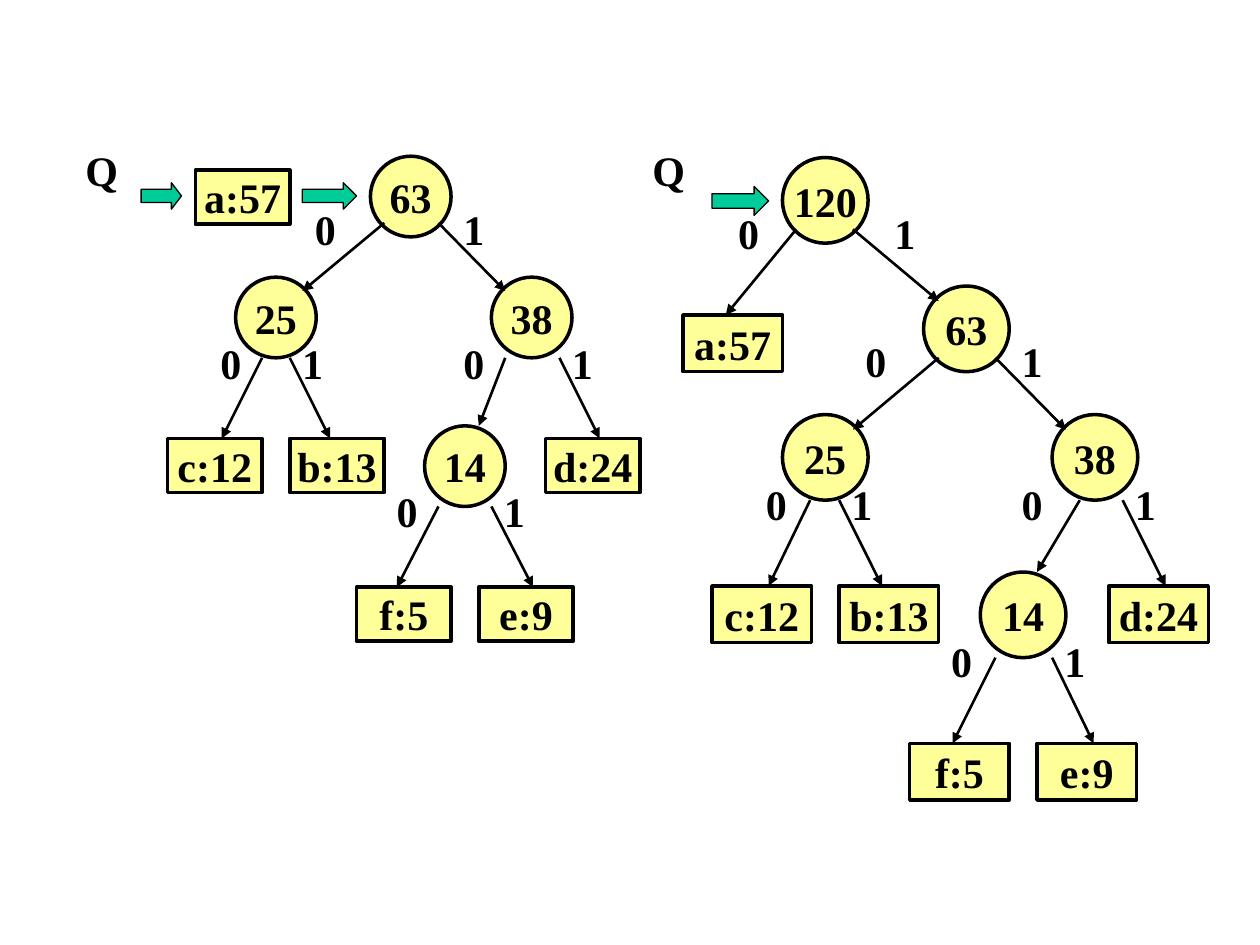
from lxml import etree
from pptx import Presentation
from pptx.dml.color import RGBColor
from pptx.enum.shapes import MSO_CONNECTOR as Connector, MSO_SHAPE as Shape
from pptx.enum.text import MSO_ANCHOR as Anchor, PP_ALIGN as Align
from pptx.oxml.ns import qn
from pptx.util import Inches, Pt


def colour(hex_code):
    return RGBColor.from_string(hex_code)


class TreeSlide:
    FONT, SIZE = "Times New Roman", 24
    INK, NODE, POINTER = "000000", "FFFF99", "00CC99"

    def __init__(self, prs):
        self.slide = prs.slides.add_slide(prs.slide_layouts[6])
        self.shapes = self.slide.shapes

    def start_group(self):
        self.shapes = self.slide.shapes.add_group_shape().shapes

    def set_text(self, shape, text, align):
        frame = shape.text_frame
        frame.text = text
        frame.word_wrap = False
        frame.vertical_anchor = Anchor.MIDDLE
        paragraph = frame.paragraphs[0]
        paragraph.alignment = align
        font = paragraph.runs[0].font
        font.name, font.size, font.bold = self.FONT, Pt(self.SIZE), True
        font.color.rgb = colour(self.INK)

    def outline(self, kind, box, fill, weight):
        shape = self.shapes.add_shape(kind, *map(Inches, box))
        shape.shadow.inherit = False
        shape.fill.solid()
        shape.fill.fore_color.rgb = colour(fill)
        shape.line.color.rgb = colour(self.INK)
        shape.line.width = Pt(weight)
        return shape

    def node(self, kind, text, left, top, size):
        shape = self.outline(kind, (left, top, *size), self.NODE, 2)
        self.set_text(shape, text, Align.CENTER)

    def label(self, text, left, top, width=0.4, height=0.57):
        box = self.shapes.add_textbox(*map(Inches, (left, top, width, height)))
        self.set_text(box, text, Align.LEFT)

    def edge(self, start, end):
        edge = self.shapes.add_connector(
            Connector.STRAIGHT, *map(Inches, (*start, *end)))
        edge.line.color.rgb = colour(self.INK)
        edge.line.width = Pt(1.5)
        properties = edge._element.spPr
        etree.SubElement(properties.find(qn("a:ln")), qn("a:tailEnd"), type="triangle")
        etree.SubElement(properties, qn("a:effectLst"))

    def pointer(self, box, head):
        arrow = self.outline(Shape.RIGHT_ARROW, box, self.POINTER, 0.75)
        arrow.adjustments[1] = head

    def tree(self, queue, diameter, leaf_size, inner, leaves, branches, pointers):
        self.start_group()
        for text, left, top in inner:
            self.node(Shape.OVAL, text, left, top, (diameter, diameter))
        for text, left, top in leaves:
            self.node(Shape.RECTANGLE, text, left, top, leaf_size)
        # Each pair of branches carries the code digits 0 and 1
        for start_y, label_y, *pair in branches:
            for digit, (label_x, start_x, end) in zip("01", pair):
                self.edge((start_x, start_y), end)
                self.label(digit, label_x, label_y)
        self.label("Q", *queue, 0.5, 0.7)
        for box, head in pointers:
            self.pointer(box, head)


# Places are (left, top); a branch row is
# start y, digit y, then (digit x, start x, end) for 0 and for 1
BEFORE_MERGE = dict(
    queue=(0.58, 1), diameter=0.64, leaf_size=(0.75, 0.43),
    inner=[("63", 2.94, 1.24), ("25", 1.87, 2.2), ("38", 3.9, 2.2),
           ("14", 3.37, 3.38)],
    leaves=[("a:57", 1.55, 1.35), ("c:12", 1.33, 3.48), ("b:13", 2.3, 3.48),
            ("d:24", 4.33, 3.48), ("f:5", 2.83, 4.66), ("e:9", 3.8, 4.66)],
    branches=[
        (1.77, 1.53, (2.4, 3.05, (2.4, 2.31)), (3.58, 3.48, (4.01, 2.31))),
        (2.84, 2.59, (1.65, 2.08, (1.76, 3.48)), (2.3, 2.3, (2.62, 3.48))),
        (2.84, 2.59, (3.58, 4.01, (3.8, 3.38)), (4.44, 4.44, (4.76, 3.48))),
        (4.02, 3.77, (3.05, 3.48, (3.15, 4.66)), (3.9, 3.9, (4.23, 4.66))),
    ],
    pointers=[((1.12, 1.45, 0.32, 0.21), 0.38), ((2.4, 1.45, 0.43, 0.21), 0.5)],
)

AFTER_MERGE = dict(
    queue=(5.08, 1), diameter=0.68, leaf_size=(0.79, 0.45),
    inner=[("120", 6.21, 1.25), ("63", 7.33, 2.27), ("25", 6.21, 3.29),
           ("38", 8.35, 3.29), ("14", 7.78, 4.54)],
    leaves=[("a:57", 5.42, 2.5), ("c:12", 5.65, 4.65), ("b:13", 6.66, 4.65),
            ("d:24", 8.8, 4.65), ("f:5", 7.22, 5.9), ("e:9", 8.23, 5.9)],
    branches=[
        (1.82, 1.56, (5.76, 6.32, (5.76, 2.5)), (7, 6.77, (7.45, 2.39))),
        (2.84, 2.58, (6.77, 7.45, (6.77, 3.41)), (8.01, 7.9, (8.46, 3.41))),
        (3.97, 3.71, (5.98, 6.43, (6.1, 4.65)), (6.66, 6.66, (7, 4.65))),
        (3.97, 3.71, (8.01, 8.57, (8.23, 4.54)), (8.91, 8.91, (9.25, 4.65))),
        (5.22, 4.96, (7.45, 7.9, (7.56, 5.9)), (8.35, 8.35, (8.68, 5.9))),
    ],
    pointers=[((5.65, 1.48, 0.45, 0.23), 0.5)],
)


def main():
    prs = Presentation()
    prs.slide_width, prs.slide_height = Inches(10), Inches(7.5)
    huffman = TreeSlide(prs)
    # Queue with two entries, then the single merged tree
    huffman.tree(**BEFORE_MERGE)
    huffman.tree(**AFTER_MERGE)
    prs.save("out.pptx")


if __name__ == "__main__":
    main()
